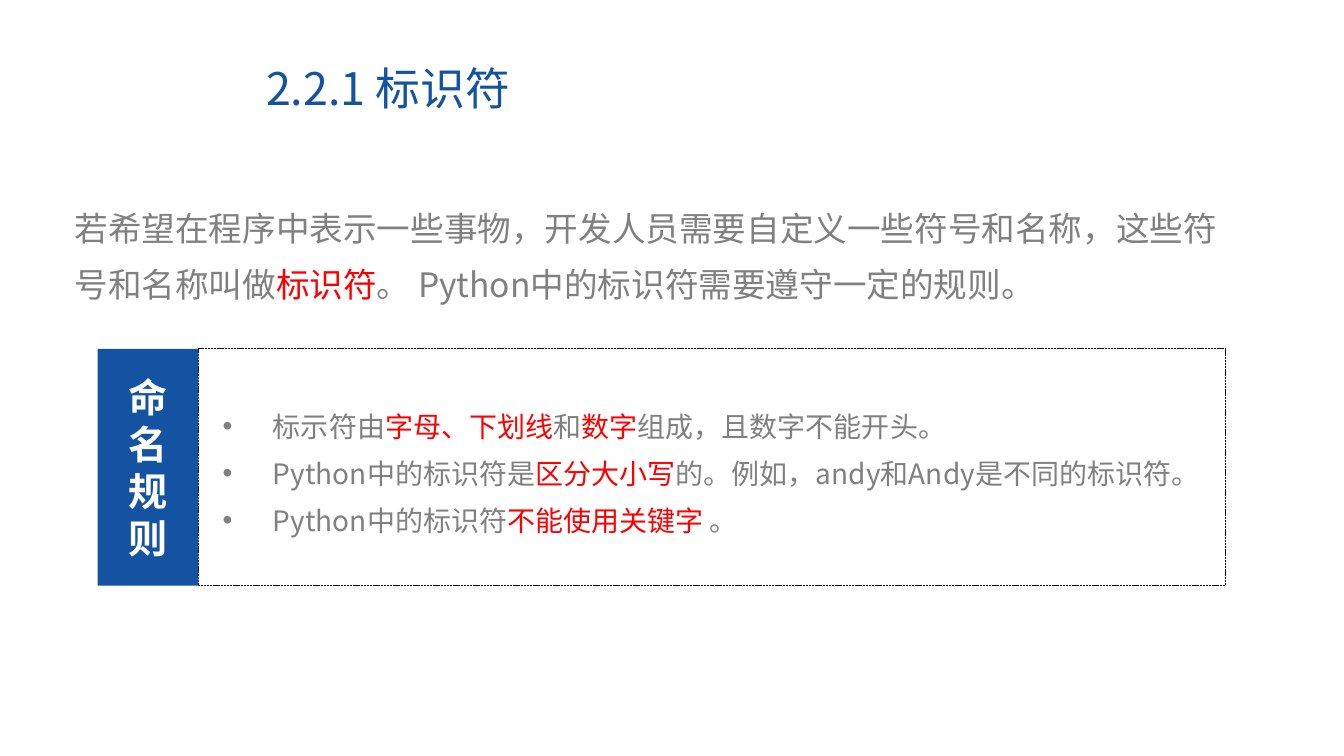
import pptx
import pptx.dml.color
import pptx.enum.dml
import pptx.enum.shapes
import pptx.enum.text
import pptx.oxml.ns
import pptx.util
from lxml import etree

Cm, Pt = pptx.util.Cm, pptx.util.Pt
MIDDLE = pptx.enum.text.MSO_ANCHOR.MIDDLE
ALIGN = pptx.enum.text.PP_ALIGN
RECTANGLE = pptx.enum.shapes.MSO_SHAPE.RECTANGLE
FONT = "Noto Sans CJK SC"
BLUE, GRAY, RED, WHITE, BLACK = "1353A2", "808080", "FF0000", "FFFFFF", "000000"

# Each run is (wording, colour)
INTRO = [
    ("若希望在程序中表示一些事物，开发人员需要自定义一些符号和名称，这些符号和名称叫做", GRAY),
    ("标识符", RED),
    ("。 Python中的标识符需要遵守一定的规则。", GRAY),
]
RULES = [
    [("标示符由", GRAY), ("字母、下划线", RED), ("和", GRAY), ("数字", RED),
     ("组成，且数字不能开头。", GRAY)],
    [("Python中的标识符是", GRAY), ("区分大小写", RED),
     ("的。例如，andy和Andy是不同的标识符。", GRAY)],
    [("Python中的标识符", GRAY), ("不能使用关键字 ", RED), ("。", GRAY)],
]


def rgb(color):
    return pptx.dml.color.RGBColor.from_string(color)


def add_runs(paragraph, runs, size, bold=False):
    for wording, color in runs:
        run = paragraph.add_run()
        run.text = wording
        run.font.size = Pt(size)
        run.font.bold = bold
        run.font.name = FONT
        run.font.color.rgb = rgb(color)
        east_asian = etree.SubElement(run.font._element, pptx.oxml.ns.qn("a:ea"))
        east_asian.set("typeface", FONT)


def add_bullet(paragraph, indent):
    properties = paragraph._p.get_or_add_pPr()
    properties.set("marL", str(indent))
    properties.set("indent", str(-indent))
    font = etree.SubElement(properties, pptx.oxml.ns.qn("a:buFont"))
    font.set("typeface", "Arial")
    etree.SubElement(properties, pptx.oxml.ns.qn("a:buChar")).set("char", "•")


def fill_paragraphs(frame, paragraphs, size, leading, align=ALIGN.LEFT, bold=False, indent=None):
    frame.word_wrap = True
    for index, runs in enumerate(paragraphs):
        paragraph = frame.paragraphs[0] if index == 0 else frame.add_paragraph()
        if indent:
            add_bullet(paragraph, indent)
        paragraph.alignment = align
        paragraph.line_spacing = leading
        add_runs(paragraph, runs, size, bold)


def place_title(slide, left, top, width, height):
    title = slide.shapes.title
    title.left, title.top, title.width, title.height = left, top, width, height
    title.text_frame.vertical_anchor = MIDDLE
    title.text_frame.auto_size = pptx.enum.text.MSO_AUTO_SIZE.NONE
    fill_paragraphs(title.text_frame, [[("2.2.1 标识符", BLUE)]], 32, 0.9)


def add_intro(slide, left, top, width, height):
    intro = slide.shapes.add_textbox(left, top, width, height)
    fill_paragraphs(intro.text_frame, [INTRO], 24, Pt(40))


def add_naming_rules(slide, left, top, width, height):
    label_width = Cm(2.54)

    # Bulleted rules
    rules = slide.shapes.add_textbox(left + Cm(2.9), top + Cm(1.07), width - Cm(2.3), Cm(3.84))
    fill_paragraphs(rules.text_frame, RULES, 20, Pt(33.5), indent=Cm(1.27))

    # Dotted frame
    frame = slide.shapes.add_shape(RECTANGLE, left + label_width, top, width - label_width, height)
    frame.shadow.inherit = False
    frame.fill.background()
    frame.line.color.rgb = rgb(BLACK)
    frame.line.width = Pt(0.5)
    frame.line.dash_style = pptx.enum.dml.MSO_LINE.SQUARE_DOT

    # Label, one character to a line
    label = slide.shapes.add_shape(RECTANGLE, left, top, label_width, height)
    label.shadow.inherit = False
    label.fill.solid()
    label.fill.fore_color.rgb = rgb(BLUE)
    label.line.fill.background()
    label.text_frame.vertical_anchor = MIDDLE
    characters = [[(character, WHITE)] for character in "命名规则"]
    fill_paragraphs(label.text_frame, characters, 28, Pt(33.5), ALIGN.CENTER, bold=True)


def main():
    deck = pptx.Presentation()
    deck.slide_width, deck.slide_height = Cm(33.87), Cm(19.05)
    slide = deck.slides.add_slide(deck.slide_layouts[5])
    place_title(slide, Cm(6.45), Cm(1.55), Cm(21.29), Cm(1.5))
    add_intro(slide, Cm(1.63), Cm(4.72), Cm(29.85), Cm(2.97))
    add_naming_rules(slide, Cm(2.46), Cm(8.79), Cm(28.42), Cm(5.97))
    deck.save("out.pptx")


if __name__ == "__main__":
    main()
